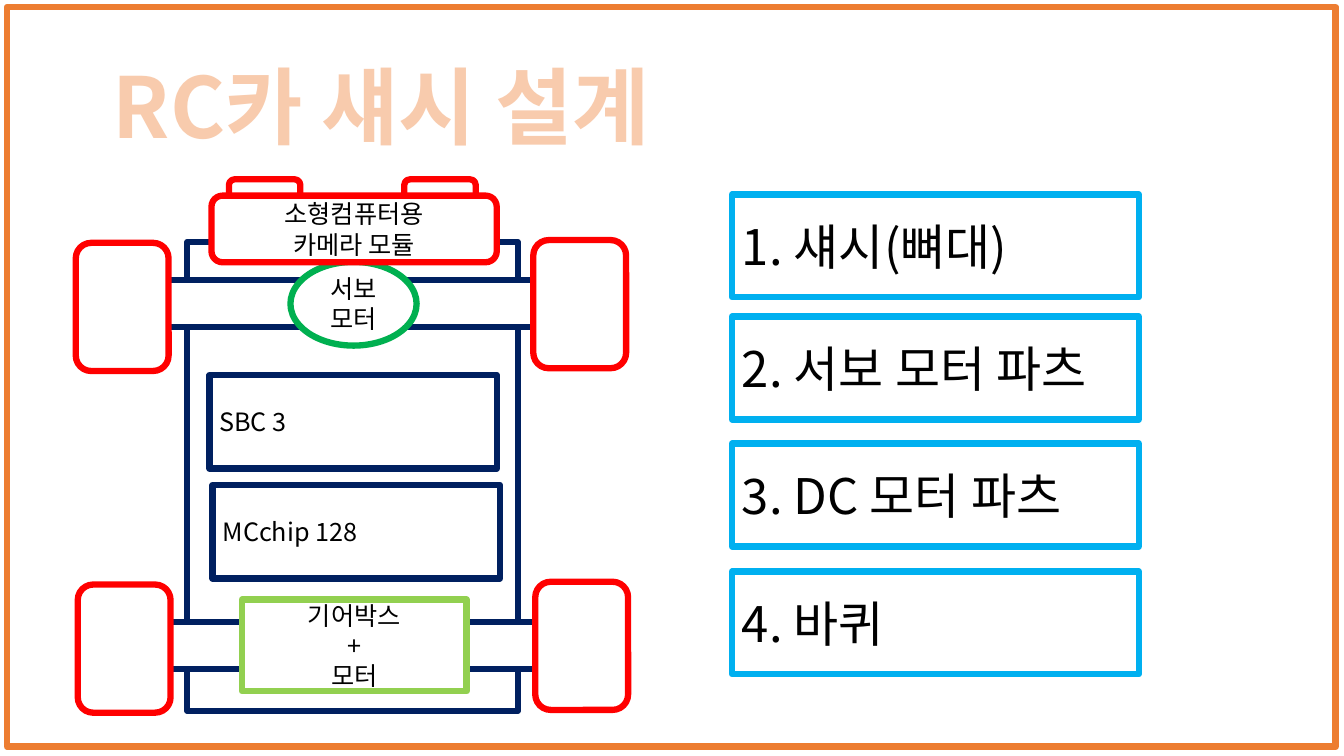
from lxml import etree
from pptx import Presentation
from pptx.dml.color import RGBColor
from pptx.enum.shapes import MSO_SHAPE
from pptx.enum.text import MSO_ANCHOR, MSO_AUTO_SIZE, PP_ALIGN
from pptx.oxml.ns import qn
from pptx.util import Cm, Pt

RECTANGLE = MSO_SHAPE.RECTANGLE
ROUNDED = MSO_SHAPE.ROUNDED_RECTANGLE
OVAL = MSO_SHAPE.OVAL
LEFT, CENTER = PP_ALIGN.LEFT, PP_ALIGN.CENTER

ORANGE = RGBColor(0xED, 0x7D, 0x31)
PEACH = RGBColor(0xF8, 0xCB, 0xAD)
RED = RGBColor(0xFF, 0x00, 0x00)
NAVY = RGBColor(0x00, 0x20, 0x60)
GREEN = RGBColor(0x00, 0xB0, 0x50)
LIME = RGBColor(0x92, 0xD0, 0x50)
BLUE = RGBColor(0x00, 0xB0, 0xF0)
WHITE = RGBColor(0xFF, 0xFF, 0xFF)
BLACK = RGBColor(0x00, 0x00, 0x00)
FONT = "Noto Sans CJK KR"

# Boxes are left, top, width, height in centimetres.
TITLE = "RC카 섀시 설계"
TITLE_BOX = (2.59, 1.24, 16.36, 2.82)
FRAME_BOX = (0.18, 0.18, 33.48, 18.64)

CAMERA_LENSES = [(5.77, 4.52, 1.8, 0.84), (10.19, 4.52, 1.8, 0.84)]
CHASSIS_BOX = (4.72, 6.1, 8.33, 11.81)
AXLE_PARTS = [
    (RECTANGLE, (1.96, 7.06, 12.42, 1.19), NAVY),
    (ROUNDED, (1.91, 6.12, 2.34, 3.23), RED),
    (ROUNDED, (13.44, 6.05, 2.34, 3.23), RED),
]
AXLE_OFFSETS = [(0, 0), (0.05, 8.61)]  # front, rear
MODULES = [
    (OVAL, (7.32, 6.6, 3.18, 2.11), GREEN, "서보모터", CENTER),
    (RECTANGLE, (5.28, 9.45, 7.24, 2.36), NAVY, "SBC 3", LEFT),
    (ROUNDED, (5.33, 4.93, 7.19, 1.68), RED, "소형컴퓨터용\v카메라 모듈", CENTER),
    (RECTANGLE, (6.1, 15.11, 5.66, 2.31), LIME, "기어박스\v+\v모터", CENTER),
    (RECTANGLE, (5.36, 12.22, 7.24, 2.36), NAVY, "MCchip 128", LEFT),
]

PARTS = ["섀시(뼈대)", "서보 모터 파츠", "DC 모터 파츠", "바퀴"]
PART_TOPS = [4.9, 7.98, 11.18, 14.4]
PART_LEFT, PART_WIDTH, PART_HEIGHT = 18.45, 10.25, 2.59


def format_text(text_frame, size, color, alignment, bold=False):
    for paragraph in text_frame.paragraphs:
        paragraph.alignment = alignment
        for run in paragraph.runs:
            run.font.name = FONT
            run.font.size = Pt(size)
            run.font.bold = bold
            run.font.color.rgb = color
            properties = run.font._element
            east_asian = etree.Element(qn("a:ea"), typeface=FONT)
            properties.find(qn("a:latin")).addnext(east_asian)


def outline_text(run, color, width):
    line = etree.Element(qn("a:ln"), w=str(Pt(width)))
    fill = etree.SubElement(line, qn("a:solidFill"))
    etree.SubElement(fill, qn("a:srgbClr"), val=str(color))
    run.font._element.insert(0, line)


def add_box(shapes, kind, box, line_color, fill=WHITE, line_width=4.5):
    shape = shapes.add_shape(kind, *map(Cm, box))
    shape.shadow.inherit = False
    if fill is None:
        shape.fill.background()
    else:
        shape.fill.solid()
        shape.fill.fore_color.rgb = fill
    shape.line.color.rgb = line_color
    shape.line.width = Pt(line_width)
    return shape


def label(shape, text, size, alignment):
    text_frame = shape.text_frame
    text_frame.word_wrap = True
    text_frame.vertical_anchor = MSO_ANCHOR.MIDDLE
    text_frame.text = text
    format_text(text_frame, size, BLACK, alignment)


def add_title(slide):
    title = slide.shapes.title
    title.left, title.top, title.width, title.height = map(Cm, TITLE_BOX)
    text_frame = title.text_frame
    text_frame.text = TITLE
    text_frame.word_wrap = True
    text_frame.auto_size = MSO_AUTO_SIZE.SHAPE_TO_FIT_TEXT
    text_frame.vertical_anchor = MSO_ANCHOR.TOP
    format_text(text_frame, 60, PEACH, LEFT, bold=True)
    outline_text(text_frame.paragraphs[0].runs[0], ORANGE, 1.75)


def add_car(slide):
    car = slide.shapes.add_group_shape().shapes
    for box in CAMERA_LENSES:
        add_box(car, ROUNDED, box, RED)
    add_box(car, RECTANGLE, CHASSIS_BOX, NAVY)
    for right, down in AXLE_OFFSETS:
        for kind, (left, top, width, height), color in AXLE_PARTS:
            add_box(car, kind, (left + right, top + down, width, height), color)
    for kind, box, color, text, alignment in MODULES:
        label(add_box(car, kind, box, color), text, 18, alignment)


def add_parts_list(slide):
    for number, (part, top) in enumerate(zip(PARTS, PART_TOPS), start=1):
        box = (PART_LEFT, top, PART_WIDTH, PART_HEIGHT)
        shape = add_box(slide.shapes, RECTANGLE, box, BLUE, fill=None)
        label(shape, f"{number}. {part}", 35, LEFT)


def main():
    presentation = Presentation()
    presentation.slide_width, presentation.slide_height = Cm(33.87), Cm(19.05)
    slide = presentation.slides.add_slide(presentation.slide_layouts[5])
    add_title(slide)
    add_box(slide.shapes, RECTANGLE, FRAME_BOX, ORANGE, fill=None, line_width=4.75)
    add_car(slide)
    add_parts_list(slide)
    presentation.save("out.pptx")


if __name__ == "__main__":
    main()
